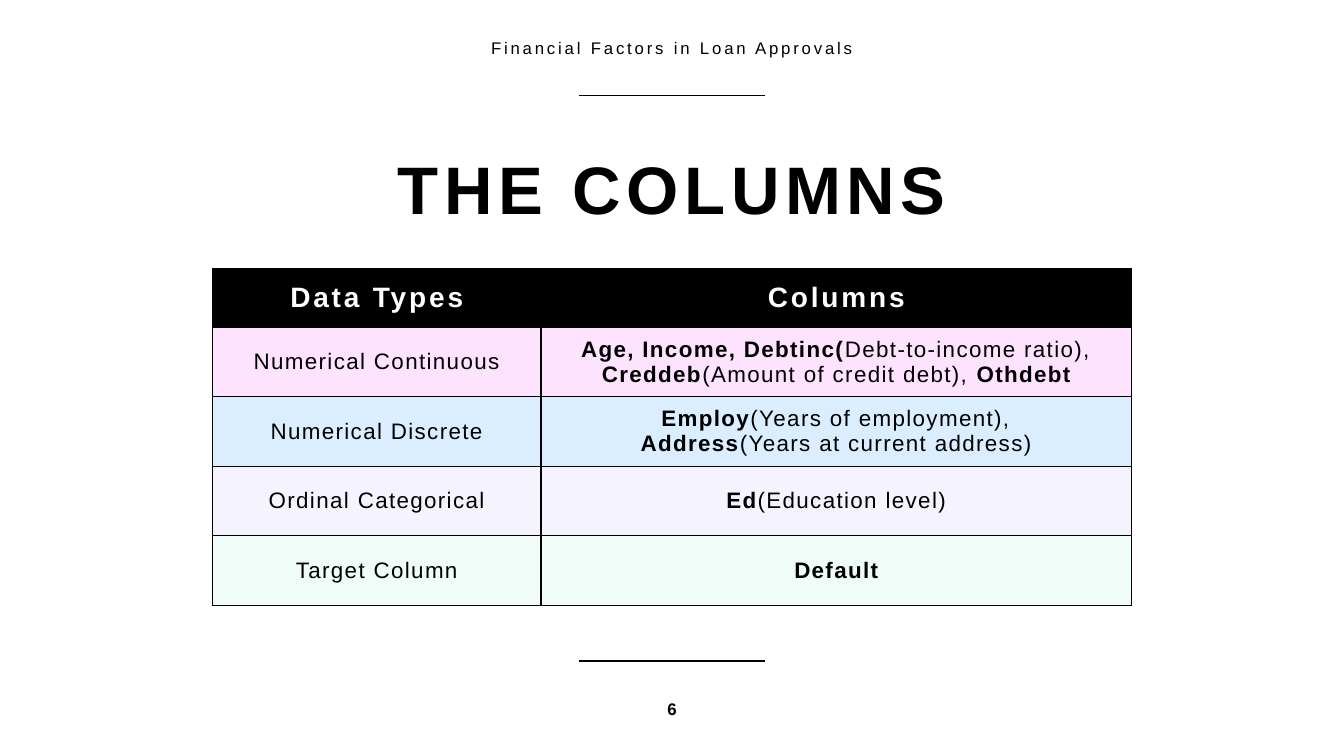
from dataclasses import dataclass

from lxml.etree import SubElement as Sub
from pptx import Presentation
from pptx.dml.color import RGBColor as Rgb
from pptx.enum.shapes import MSO_CONNECTOR as Conn
from pptx.enum.text import MSO_ANCHOR as Anchor, MSO_AUTO_SIZE as Auto, PP_ALIGN as Align
from pptx.oxml import parse_xml
from pptx.oxml.ns import nsdecls, qn
from pptx.util import Cm, Pt

# Text between asterisks is bold.
TOPIC = "Financial Factors in Loan Approvals"
TITLE = "*THE COLUMNS*"
PAGE = "*6*"
HEAD = ("*Data Types*", "*Columns*")
# Data type, columns, fill colour, opacity in percent
ROWS = [
    ("Numerical Continuous",
     "*Age, Income, Debtinc(*Debt-to-income ratio), *Creddeb*(Amount of credit debt), *Othdebt*",
     "FBA3FB", 30),
    ("Numerical Discrete",
     "*Employ*(Years of employment),\n*Address*(Years at current address)",
     "B6DFFF", 50),
    ("Ordinal Categorical", "*Ed*(Education level)", "EDEBFE", 50),
    ("Target Column", "*Default*", "E3FBF3", 50),
]


@dataclass(frozen=True)
class Theme:
    font: str = "Arial"
    ink: str = "000000"
    paper: str = "FFFFFF"
    title: int = 48
    head: int = 20
    body: int = 16
    small: int = 12
    rule: int = 1


THEME = Theme()
WIDE, HIGH = 33.87, 19.05
COLS = (8.28, 14.88)
HEAD_H, ROW_H = 1.47, 1.75
TABLE_TOP = 6.78
RULE_W, RULE_TOP, RULE_LOW = 4.7, 2.41, 16.66
NOTE_W, NOTE_H = 11.43, 2.37


def mid(width):
    """Left edge that centres a width on the slide."""
    return (WIDE - width) / 2


def write(frame, text, size=THEME.body, color=THEME.ink, gap=1, lead=None):
    """Fill a text frame with centred text; gap is letter spacing in points."""
    frame.word_wrap = True
    para = frame.paragraphs[0]
    para.alignment = Align.CENTER
    if lead:
        para.line_spacing = lead
    for i, part in enumerate(text.split("*")):
        for j, line in enumerate(part.split("\n")):
            if j:
                para.add_line_break()
            if line:
                run = para.add_run()
                run.text = line
                font = run.font
                font.name, font.size, font.bold = THEME.font, Pt(size), i % 2 == 1
                font.color.rgb = Rgb.from_string(color)
                font._element.set("spc", str(gap * 100))


def note(slide, text, top):
    box = slide.shapes.add_textbox(Cm(mid(NOTE_W)), Cm(top), Cm(NOTE_W), Cm(NOTE_H))
    box.text_frame.vertical_anchor = Anchor.MIDDLE
    write(box.text_frame, text, size=THEME.small, gap=2)


def rule(slide, top):
    left = mid(RULE_W)
    line = slide.shapes.add_connector(
        Conn.STRAIGHT, Cm(left), Cm(top), Cm(left + RULE_W), Cm(top))
    line.line.color.rgb = Rgb.from_string(THEME.ink)
    line.line.width = Pt(THEME.rule)
    Sub(line._element.spPr, qn("a:effectLst"))


def paint(cell, fill, alpha=100):
    """Give a cell its fill, opacity and four borders."""
    cell.vertical_anchor = Anchor.MIDDLE
    cell.fill.solid()
    cell.fill.fore_color.rgb = Rgb.from_string(fill)
    props = cell._tc.get_or_add_tcPr()
    if alpha < 100:
        tint = props.find(".//" + qn("a:srgbClr"))
        Sub(tint, qn("a:alpha")).set("val", str(alpha * 1000))
    for i, side in enumerate("LRTB"):
        props.insert(i, parse_xml(
            f'<a:ln{side} {nsdecls("a")} w="{Pt(THEME.rule)}"><a:solidFill>'
            f'<a:srgbClr val="{THEME.ink}"/></a:solidFill></a:ln{side}>'))


def grid(slide):
    width = sum(COLS)
    high = HEAD_H + ROW_H * len(ROWS)
    table = slide.shapes.add_table(
        len(ROWS) + 1, len(COLS), Cm(mid(width)), Cm(TABLE_TOP), Cm(width), Cm(high)).table
    table.first_row = table.horz_banding = False
    for col, size in zip(table.columns, COLS):
        col.width = Cm(size)
    for i, row in enumerate(table.rows):
        row.height = Cm(ROW_H if i else HEAD_H)
    for j, text in enumerate(HEAD):
        cell = table.cell(0, j)
        paint(cell, THEME.ink)
        write(cell.text_frame, text, size=THEME.head, color=THEME.paper, gap=2)
    for i, (kind, names, fill, alpha) in enumerate(ROWS, 1):
        for j, text in enumerate((kind, names)):
            cell = table.cell(i, j)
            paint(cell, fill, alpha)
            write(cell.text_frame, text)


def head(slide):
    shape = slide.shapes.title
    shape.left, shape.top = Cm(mid(30.48)), Cm(RULE_TOP)
    shape.width, shape.height = Cm(30.48), Cm(4.37)
    frame = shape.text_frame
    frame.auto_size = Auto.NONE
    frame.vertical_anchor = Anchor.MIDDLE
    frame.margin_left = frame.margin_right = Cm(0.25)
    frame.margin_top, frame.margin_bottom = Cm(0.51), Cm(0)
    write(frame, TITLE, size=THEME.title, gap=4, lead=0.9)


def main():
    deck = Presentation()
    deck.slide_width, deck.slide_height = Cm(WIDE), Cm(HIGH)
    slide = deck.slides.add_slide(deck.slide_layouts[5])
    for top in (RULE_TOP, RULE_LOW):
        rule(slide, top)
    head(slide)
    note(slide, TOPIC, 0.03)
    grid(slide)
    note(slide, PAGE, HIGH - NOTE_H)
    deck.save("out.pptx")


if __name__ == "__main__":
    main()
